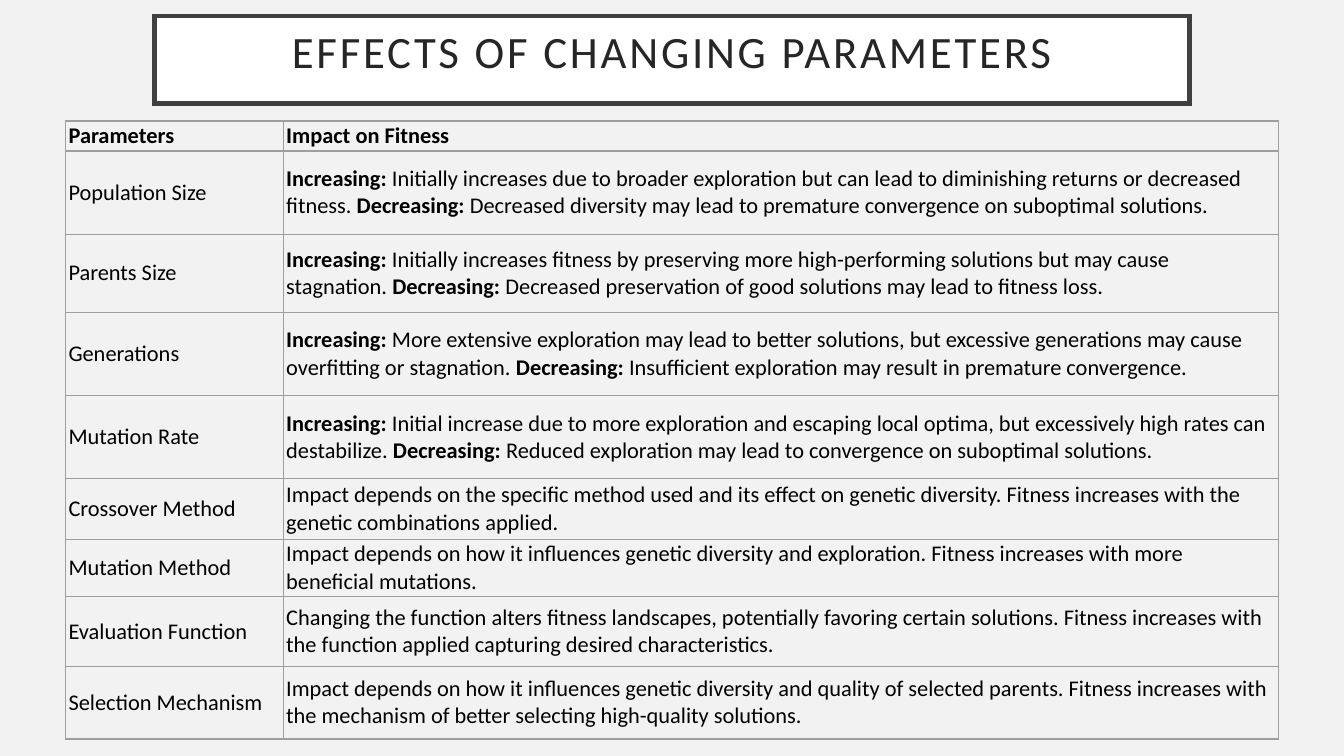
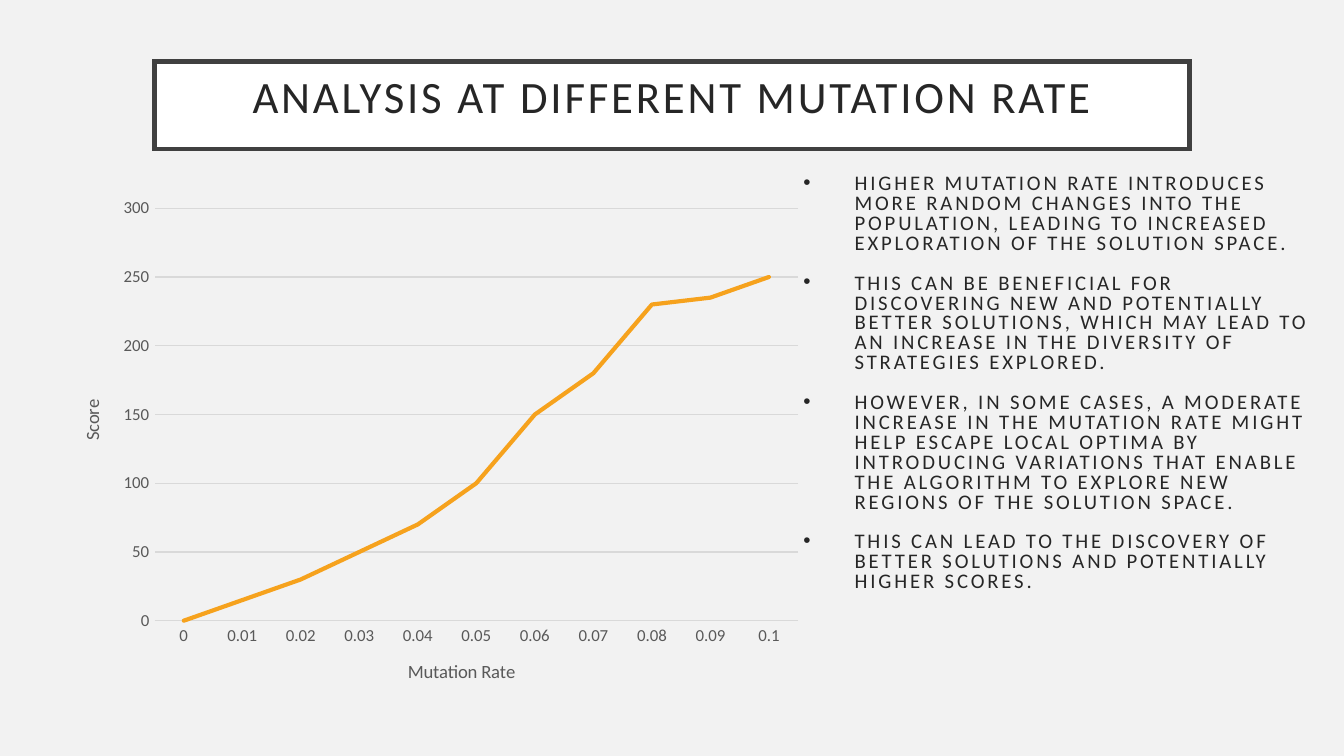
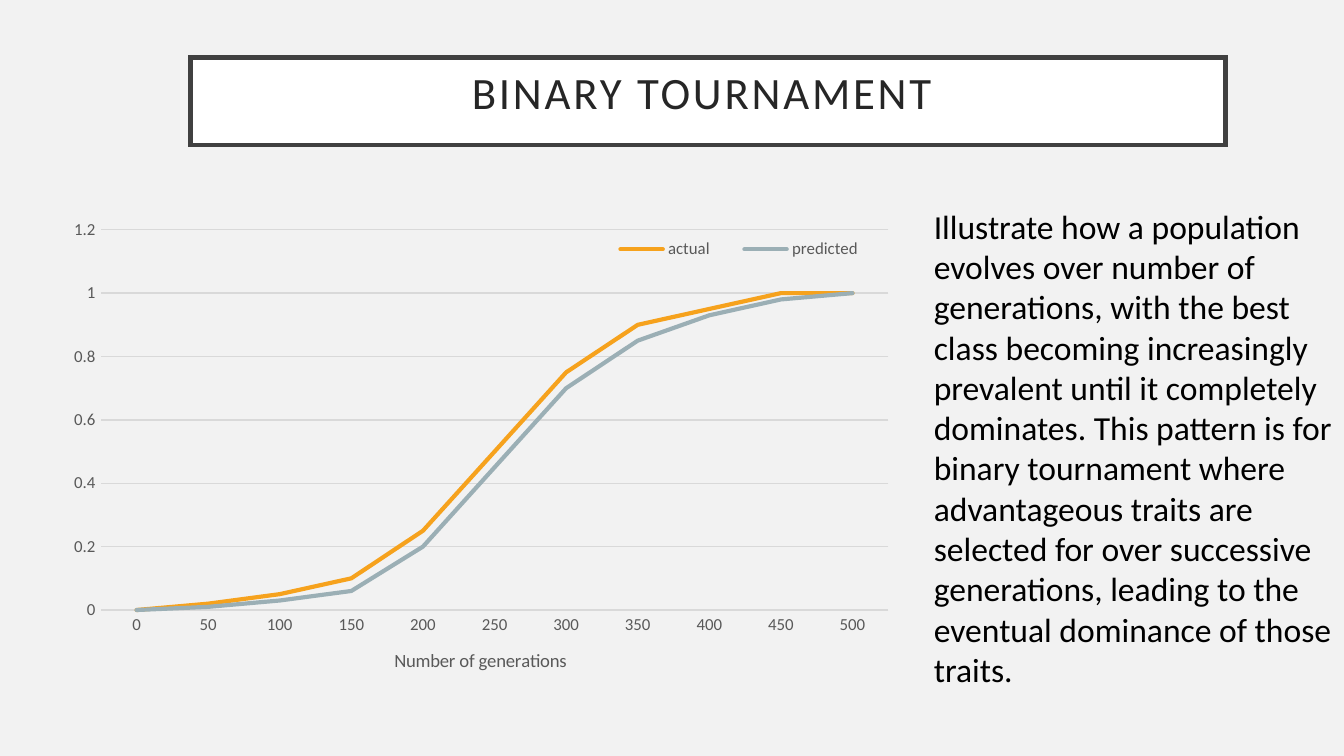
from lxml.etree import SubElement
from pptx import Presentation
from pptx.chart.data import CategoryChartData
from pptx.dml.color import RGBColor
from pptx.enum.chart import XL_CHART_TYPE, XL_LEGEND_POSITION, XL_TICK_MARK
from pptx.enum.shapes import MSO_SHAPE
from pptx.enum.text import MSO_ANCHOR, PP_ALIGN
from pptx.oxml import parse_xml
from pptx.oxml.ns import nsdecls, qn
from pptx.util import Inches, Pt

FONT = "Calibri"
BLACK, INK, FRAME, GRAY = "000000", "262626", "404040", "595959"
WHITE, PAPER, GRID, BORDER = "FFFFFF", "F2F2F2", "D9D9D9", "9E9E9E"
SERIES_COLORS = ["F6A21D", "9BAFB5"]
LETTER_SPACING = "150"


def style(font, size, color, bold=False):
    font.name, font.size, font.bold = FONT, Pt(size), bold
    font.color.rgb = RGBColor.from_string(color)


def place(element, chart_at, x, y, width=None, height=None):
    """Put a chart part at a spot on the slide, in inches, by a manual layout."""
    for old in element.findall(qn("c:layout")):
        element.remove(old)
    layout = parse_xml(f"<c:layout {nsdecls('c')}><c:manualLayout/></c:layout>")
    manual = layout[0]
    if element.tag == qn("c:plotArea"):
        SubElement(manual, qn("c:layoutTarget"), val="inner")
    for name in ("xMode", "yMode"):
        SubElement(manual, qn(f"c:{name}"), val="edge")
    left, top, chart_width, chart_height = chart_at
    SubElement(manual, qn("c:x"), val=str((x - left) / chart_width))
    SubElement(manual, qn("c:y"), val=str((y - top) / chart_height))
    if width:
        SubElement(manual, qn("c:w"), val=str(width / chart_width))
        SubElement(manual, qn("c:h"), val=str(height / chart_height))
    overlay = element.find(qn("c:overlay"))
    if overlay is None:
        element.insert(0, layout)
    else:
        overlay.addprevious(layout)


deck = Presentation()
deck.slide_width = Inches(10)
deck.slide_height = deck.slide_width * 9 // 16

# Background and framed title of every slide
titles = [
    ("EFFECTS OF CHANGING PARAMETERS", 1.15, 0.12),
    ("ANALYSIS AT DIFFERENT MUTATION RATE", 1.15, 0.46),
    ("BINARY TOURNAMENT ", 1.42, 0.43),
]
pages = []
for title, left, top in titles:
    page = deck.slides.add_slide(deck.slide_layouts[6])
    page.background.fill.solid()
    page.background.fill.fore_color.rgb = RGBColor.from_string(PAPER)
    box = page.shapes.add_shape(MSO_SHAPE.RECTANGLE, Inches(left), Inches(top), Inches(7.7), Inches(0.65))
    box.shadow.inherit = False
    box.fill.solid()
    box.fill.fore_color.rgb = RGBColor.from_string(WHITE)
    box.line.color.rgb = RGBColor.from_string(FRAME)
    box.line.width = Pt(2.5)
    SubElement(box.line._get_or_add_ln(), qn("a:miter"), lim="800000")
    frame = box.text_frame
    frame.vertical_anchor = MSO_ANCHOR.TOP
    frame.margin_left = frame.margin_right = frame.margin_top = frame.margin_bottom = Inches(0.1)
    para = frame.paragraphs[0]
    para.alignment, para.line_spacing = PP_ALIGN.CENTER, 0.9
    span = para.add_run()
    span.text = title
    style(span.font, 24, INK)
    span._r.get_or_add_rPr().set("spc", LETTER_SPACING)
    pages.append(page)
table_page, mutation_page, tournament_page = pages

# Slide 1: parameter table, each row with its height and its spans of (text, bold)
UP = ("Increasing: ", True)
DOWN = ("Decreasing:", True)
parameters = [
    (0.21, "Parameters", [("Impact on Fitness", True)]),
    (0.62, "Population Size", [
        UP, ("Initially increases due to broader exploration but can lead to diminishing returns or "
             "decreased fitness. ", False),
        DOWN, (" Decreased diversity may lead to premature convergence on suboptimal solutions.", False)]),
    (0.58, "Parents Size", [
        UP, ("Initially increases fitness by preserving more high-performing solutions but may cause "
             "stagnation. ", False),
        DOWN, (" Decreased preservation of good solutions may lead to fitness loss.", False)]),
    (0.62, "Generations", [
        UP, ("More extensive exploration may lead to better solutions, but excessive generations may "
             "cause overfitting or stagnation. ", False),
        DOWN, (" Insufficient exploration may result in premature convergence.", False)]),
    (0.62, "Mutation Rate", [
        UP, ("Initial increase due to more exploration and escaping local optima, but excessively high "
             "rates can destabilize. ", False),
        DOWN, (" Reduced exploration may lead to convergence on suboptimal solutions.", False)]),
    (0.45, "Crossover Method", [
        ("Impact depends on the specific method used and its effect on genetic diversity. Fitness "
         "increases with the genetic combinations applied.", False)]),
    (0.4, "Mutation Method", [
        ("Impact depends on how it influences genetic diversity and exploration. Fitness increases "
         "with more beneficial mutations.", False)]),
    (0.52, "Evaluation Function", [
        ("Changing the function alters fitness landscapes, potentially favoring certain solutions. "
         "Fitness increases with the function applied capturing desired characteristics.", False)]),
    (0.54, "Selection Mechanism", [
        ("Impact depends on how it influences genetic diversity and quality of selected parents. "
         "Fitness increases with the mechanism of better selecting high-quality solutions.", False)]),
]
table = table_page.shapes.add_table(
    len(parameters), 2, Inches(0.49), Inches(0.9), Inches(9.02), Inches(4.6)).table
table.first_row = table.horz_banding = False
table.columns[0].width, table.columns[1].width = Inches(1.62), Inches(7.4)
for row, (height, parameter, impact) in enumerate(parameters):
    table.rows[row].height = Inches(height)
    for column, spans in enumerate([[(parameter, row == 0)], impact]):
        cell = table.cell(row, column)
        cell.fill.background()
        cell.vertical_anchor = MSO_ANCHOR.BOTTOM if row == 0 else MSO_ANCHOR.MIDDLE
        cell.margin_left = cell.margin_right = Inches(0.02)
        cell.margin_top = cell.margin_bottom = Inches(0.01)
        for text, bold in spans:
            span = cell.text_frame.paragraphs[0].add_run()
            span.text = text
            style(span.font, 12, BLACK, bold)
        for index, side in enumerate("LRTB"):
            cell._tc.get_or_add_tcPr().insert(index, parse_xml(
                f'<a:ln{side} {nsdecls("a")} w="{Pt(0.75)}"><a:solidFill>'
                f'<a:srgbClr val="{BORDER}"/></a:solidFill></a:ln{side}>'))

# Slides 2 and 3: line charts
charts = [
    dict(page=mutation_page, at=(0.39, 1.4, 5.66, 3.88), plot=(1.15, 1.55, 4.79, 3.07),
         top_value=300, step=50,
         categories=["0", "0.01", "0.02", "0.03", "0.04", "0.05", "0.06", "0.07", "0.08", "0.09", "0.1"],
         series={"Series 1": [0, 15, 30, 50, 70, 100, 150, 180, 230, 235, 250]},
         category_title=("Mutation Rate", 3.01, 4.88), value_title=("Score", 0.57, 2.95)),
    dict(page=tournament_page, at=(0.39, 1.56, 6.37, 3.64), plot=(0.75, 1.71, 5.86, 2.83),
         top_value=1.2, step=0.2,
         categories=[str(generation) for generation in range(0, 501, 50)],
         series={"actual": [0, 0.02, 0.05, 0.1, 0.25, 0.5, 0.75, 0.9, 0.95, 1, 1],
                 "predicted": [0, 0.01, 0.03, 0.06, 0.2, 0.45, 0.7, 0.85, 0.93, 0.98, 1]},
         category_title=("Number of generations", 2.91, 4.8), value_title=None),
]
for item in charts:
    data = CategoryChartData()
    data.categories = item["categories"]
    for name, values in item["series"].items():
        data.add_series(name, values)
    chart = item["page"].shapes.add_chart(
        XL_CHART_TYPE.LINE, *[Inches(length) for length in item["at"]], data).chart
    style(chart.font, 10, BLACK)
    chart.has_title = False
    chart.plots[0].vary_by_categories = False
    place(chart._chartSpace.chart.plotArea, item["at"], *item["plot"])
    for series, color in zip(chart.plots[0].series, SERIES_COLORS):
        series.smooth = False
        series.format.line.color.rgb = RGBColor.from_string(color)
        series.format.line.width = Pt(2.25)
        series.format.line._get_or_add_ln().set("cap", "rnd")

    category_axis, value_axis = chart.category_axis, chart.value_axis
    for axis, title in ((category_axis, item["category_title"]), (value_axis, item["value_title"])):
        axis.major_tick_mark = axis.minor_tick_mark = XL_TICK_MARK.NONE
        style(axis.tick_labels.font, 9, GRAY)
        if title:
            text, x, y = title
            span = axis.axis_title.text_frame.paragraphs[0].add_run()
            span.text = text
            style(span.font, 10, GRAY)
            place(axis.axis_title._element, item["at"], x, y)
    value_axis.minimum_scale, value_axis.maximum_scale = 0, item["top_value"]
    value_axis.major_unit = item["step"]
    value_axis.format.line.fill.background()
    for line in (category_axis.format.line, value_axis.major_gridlines.format.line):
        line.color.rgb = RGBColor.from_string(GRID)
        line.width = Pt(0.75)

    chart.has_legend = len(item["series"]) > 1
    if chart.has_legend:
        chart.legend.position = XL_LEGEND_POSITION.BOTTOM
        chart.legend.include_in_layout = False
        style(chart.legend.font, 9, GRAY)
        place(chart.legend._element, item["at"], 4.4, 1.71, 2.2, 0.29)

# Slide 2: findings
findings = [
    "HIGHER MUTATION RATE INTRODUCES MORE RANDOM CHANGES INTO THE POPULATION, LEADING TO INCREASED "
    "EXPLORATION OF THE SOLUTION SPACE.",
    "THIS CAN BE BENEFICIAL FOR DISCOVERING NEW AND POTENTIALLY BETTER SOLUTIONS, WHICH MAY LEAD TO "
    "AN INCREASE IN THE DIVERSITY OF STRATEGIES EXPLORED.",
    "HOWEVER, IN SOME CASES, A MODERATE INCREASE IN THE MUTATION RATE MIGHT HELP ESCAPE LOCAL OPTIMA "
    "BY INTRODUCING VARIATIONS THAT ENABLE THE ALGORITHM TO EXPLORE NEW REGIONS OF THE SOLUTION SPACE.",
    "THIS CAN LEAD TO THE DISCOVERY OF BETTER SOLUTIONS AND POTENTIALLY HIGHER SCORES.",
]
frame = mutation_page.shapes.add_textbox(Inches(5.88), Inches(1.2), Inches(3.98), Inches(4.28)).text_frame
frame.word_wrap = True
frame.margin_left = frame.margin_right = frame.margin_top = frame.margin_bottom = Inches(0.1)
for index, finding in enumerate(findings):
    para = frame.paragraphs[0] if index == 0 else frame.add_paragraph()
    para.line_spacing, para.space_after = 0.8, Pt(10.7)
    span = para.add_run()
    span.text = finding
    style(span.font, 11.1, INK)
    span._r.get_or_add_rPr().set("spc", LETTER_SPACING)
    properties = para._p.get_or_add_pPr()
    properties.set("marL", str(Inches(0.38)))
    properties.set("indent", str(Inches(-0.38)))
    SubElement(properties, qn("a:buFont"), typeface="Arial")
    SubElement(properties, qn("a:buChar"), char="•")

# Slide 3: explanation
frame = tournament_page.shapes.add_textbox(Inches(6.85), Inches(1.48), Inches(3.3), Inches(3.74)).text_frame
frame.word_wrap = True
para = frame.paragraphs[0]
para.text = (
    "Illustrate how a population evolves over number of generations, with the best class becoming "
    "increasingly prevalent until it completely dominates. This pattern is for binary tournament where "
    "advantageous traits are selected for over successive generations, leading to the eventual "
    "dominance of those traits.")
style(para.font, 18, BLACK)

deck.save("out.pptx")
